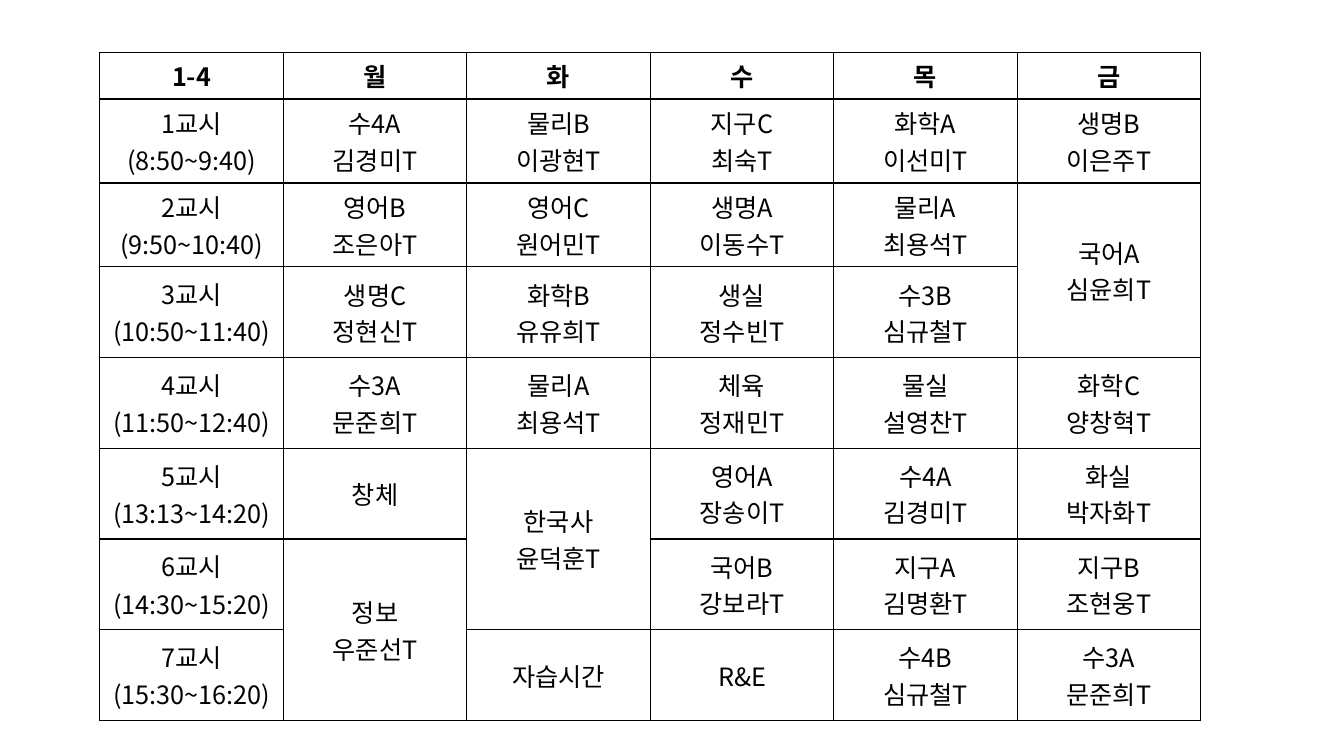
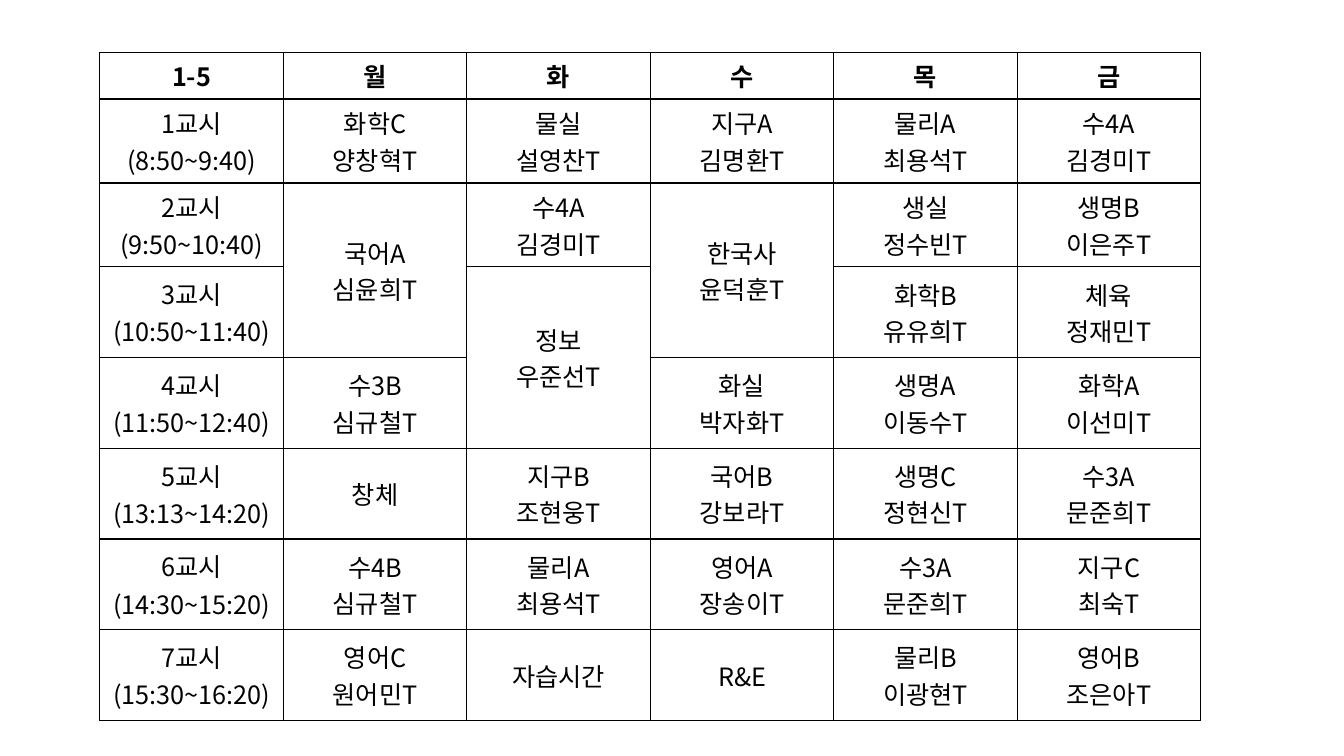
"""Build the weekly class timetables, one class a slide."""
import dataclasses

import lxml.etree
import pptx
import pptx.dml.color
import pptx.enum.text
import pptx.oxml.ns
import pptx.util

Inches = pptx.util.Inches
Pt = pptx.util.Pt


@dataclasses.dataclass(frozen=True)
class Theme:
    """Colours, type and line sizes of every timetable."""
    ink: str = "000000"
    paper: str = "FFFFFF"
    font: str = "Noto Sans CJK KR"
    text_size: float = 18
    label_spacing: float = 0.3
    border_width: float = 1


DAYS = ["월", "화", "수", "목", "금"]
TIMES = ["8:50~9:40", "9:50~10:40", "10:50~11:40", "11:50~12:40",
         "13:13~14:20", "14:30~15:20", "15:30~16:20"]
LEFT, TOP = 0.99, 0.52
COLUMN_WIDTH = 1.82
ROW_HEIGHTS = [0.4, 0.76, 0.83] + [0.9] * 5
CONTINUED = "^"  # the lesson above lasts through this period

# One row a period, one lesson a day; "/" parts subject and teacher.
TIMETABLES = {
    "1-4": [
        "수4A/김경미T 물리B/이광현T 지구C/최숙T 화학A/이선미T 생명B/이은주T",
        "영어B/조은아T 영어C/원어민T 생명A/이동수T 물리A/최용석T 국어A/심윤희T",
        "생명C/정현신T 화학B/유유희T 생실/정수빈T 수3B/심규철T ^",
        "수3A/문준희T 물리A/최용석T 체육/정재민T 물실/설영찬T 화학C/양창혁T",
        "창체 한국사/윤덕훈T 영어A/장송이T 수4A/김경미T 화실/박자화T",
        "정보/우준선T ^ 국어B/강보라T 지구A/김명환T 지구B/조현웅T",
        "^ 자습시간 R&E 수4B/심규철T 수3A/문준희T",
    ],
    "1-5": [
        "화학C/양창혁T 물실/설영찬T 지구A/김명환T 물리A/최용석T 수4A/김경미T",
        "국어A/심윤희T 수4A/김경미T 한국사/윤덕훈T 생실/정수빈T 생명B/이은주T",
        "^ 정보/우준선T ^ 화학B/유유희T 체육/정재민T",
        "수3B/심규철T ^ 화실/박자화T 생명A/이동수T 화학A/이선미T",
        "창체 지구B/조현웅T 국어B/강보라T 생명C/정현신T 수3A/문준희T",
        "수4B/심규철T 물리A/최용석T 영어A/장송이T 수3A/문준희T 지구C/최숙T",
        "영어C/원어민T 자습시간 R&E 물리B/이광현T 영어B/조은아T",
    ],
}


class TimetableDeck:
    """Holds the theme, the presentation and the current slide."""

    def __init__(self, theme):
        """Start an empty widescreen presentation."""
        self.theme = theme
        self.presentation = pptx.Presentation()
        self.presentation.slide_width = Inches(13.33)
        self.presentation.slide_height = Inches(7.5)
        self.slide = None

    def add_slide(self):
        """Add a blank slide and make it current."""
        blank = self.presentation.slide_layouts[6]
        self.slide = self.presentation.slides.add_slide(blank)

    def frame_cell(self, cell):
        """Give a cell its four borders and its fill."""
        properties = cell._tc.get_or_add_tcPr()
        for side in ("a:lnL", "a:lnR", "a:lnT", "a:lnB"):
            border = lxml.etree.SubElement(
                properties, pptx.oxml.ns.qn(side),
                w=str(Pt(self.theme.border_width)))
            fill = lxml.etree.SubElement(
                border, pptx.oxml.ns.qn("a:solidFill"))
            lxml.etree.SubElement(
                fill, pptx.oxml.ns.qn("a:srgbClr"), val=self.theme.ink)
        cell.fill.solid()
        cell.fill.fore_color.rgb = pptx.dml.color.RGBColor.from_string(
            self.theme.paper)

    def write_cell(self, cell, text, bold=False, spacing=0):
        """Write centred lines of text in a cell."""
        cell.text_frame.text = text
        cell.vertical_anchor = pptx.enum.text.MSO_ANCHOR.MIDDLE
        for line in cell.text_frame.paragraphs:
            line.alignment = pptx.enum.text.PP_ALIGN.CENTER
            line.space_before = line.space_after = Pt(spacing)
            for run in line.runs:
                run.font.size = Pt(self.theme.text_size)
                run.font.bold = bold
                run.font.color.rgb = pptx.dml.color.RGBColor.from_string(
                    self.theme.ink)
                run.font.name = self.theme.font
                lxml.etree.SubElement(
                    run.font._element, pptx.oxml.ns.qn("a:ea"),
                    typeface=self.theme.font)

    def add_timetable(self, class_name, periods):
        """Draw one class's week, merging lessons of two periods."""
        rows = [[class_name] + DAYS]
        for number, (time, lessons) in enumerate(zip(TIMES, periods), 1):
            rows.append([f"{number}교시/({time})"] + lessons.split())
        timetable = self.slide.shapes.add_table(
            len(rows), len(rows[0]), Inches(LEFT), Inches(TOP),
            Inches(COLUMN_WIDTH * len(rows[0])),
            Inches(sum(ROW_HEIGHTS))).table
        for column in timetable.columns:
            column.width = Inches(COLUMN_WIDTH)
        for row, height in zip(timetable.rows, ROW_HEIGHTS):
            row.height = Inches(height)
        for r, entries in enumerate(rows):
            for c, entry in enumerate(entries):
                cell = timetable.cell(r, c)
                self.frame_cell(cell)
                if entry == CONTINUED:
                    timetable.cell(r - 1, c).merge(cell)
                    continue
                self.write_cell(
                    cell, entry.replace("/", "\n"), bold=r == 0,
                    spacing=self.theme.label_spacing if c == 0 else 0)


def main():
    """Build and save the deck."""
    deck = TimetableDeck(Theme())
    for class_name, periods in TIMETABLES.items():
        deck.add_slide()
        deck.add_timetable(class_name, periods)
    deck.presentation.save("out.pptx")


main()
